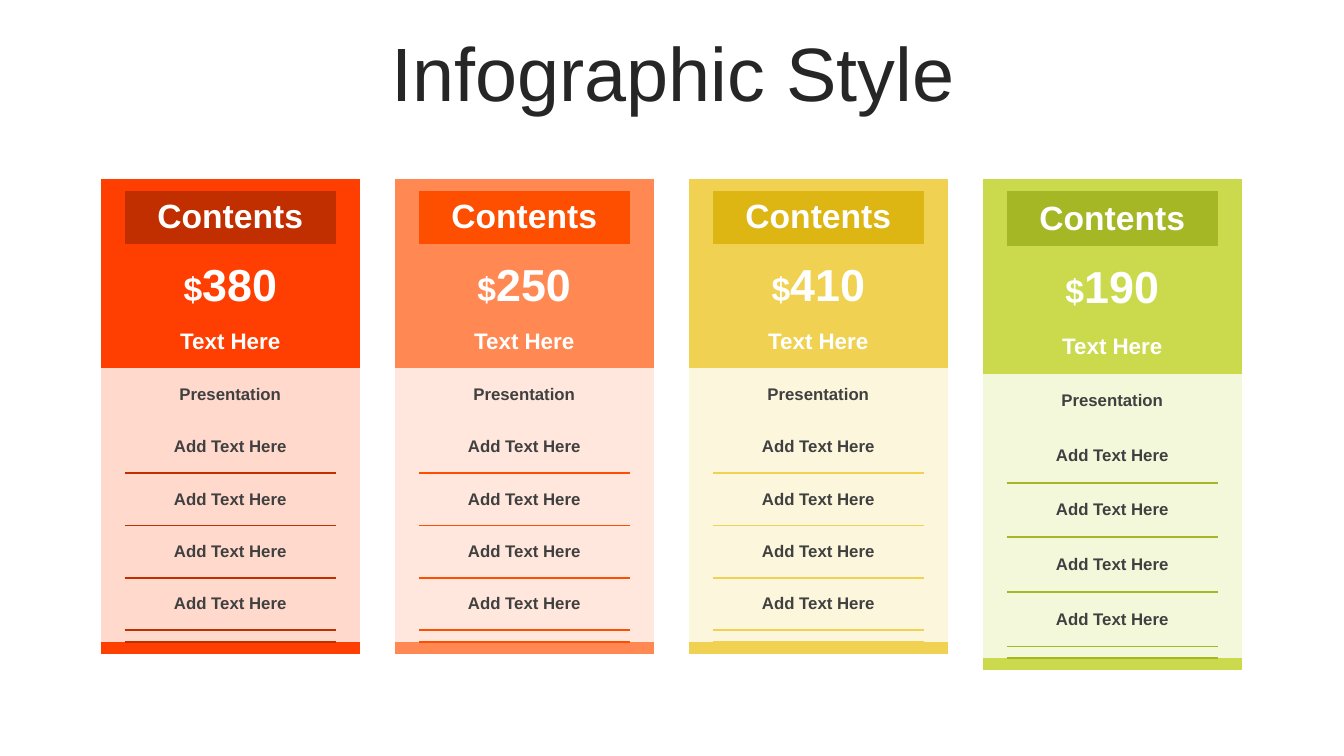
from dataclasses import dataclass

from lxml.etree import SubElement
from pptx import Presentation
from pptx.dml.color import RGBColor
from pptx.enum.text import MSO_ANCHOR as Anchor, MSO_AUTO_SIZE as AutoSize, PP_ALIGN as Align
from pptx.oxml.ns import qn
from pptx.util import Pt

PX = 6350  # EMU per px on a 1920 x 1080 slide
FONT = "Arial"
NO_TABLE_STYLE = "{2D5ABB26-0587-4C30-8999-92F81FD0307C}"

WHITE = RGBColor(0xFF, 0xFF, 0xFF)
INK = RGBColor(0x26, 0x26, 0x26)
GRAY = RGBColor(0x40, 0x40, 0x40)
RED = RGBColor(0xFF, 0x3F, 0x02)
DARK_RED = RGBColor(0xC1, 0x2E, 0x00)
PALE_RED = RGBColor(0xFF, 0xD9, 0xCC)
ORANGE = RGBColor(0xFF, 0x88, 0x53)
DARK_ORANGE = RGBColor(0xFE, 0x4E, 0x00)
PALE_ORANGE = RGBColor(0xFF, 0xE7, 0xDD)
YELLOW = RGBColor(0xF0, 0xD1, 0x52)
DARK_YELLOW = RGBColor(0xDE, 0xB6, 0x13)
PALE_YELLOW = RGBColor(0xFC, 0xF6, 0xDC)
GREEN = RGBColor(0xCA, 0xDA, 0x4C)
DARK_GREEN = RGBColor(0xA6, 0xB7, 0x26)
PALE_GREEN = RGBColor(0xF4, 0xF8, 0xDB)

COLUMN_WIDTHS = (33, 301, 33)
SPACER = 17
TABLE_LEFT, TABLE_TOP, TABLE_STEP = 144, 256, 420
LABEL_ROW, FIRST_BODY_ROW, LAST_ROW = 1, 5, 11
RULED_ROWS = range(6, 10)


@dataclass
class Plan:
    price: str
    main: RGBColor
    badge: RGBColor
    pale: RGBColor
    rule: RGBColor
    row: int = 75
    price_row: int = 86

    def rows(self):
        """Return the height and the text runs (text, size, colour) of each row."""
        spacer = (SPACER, [])
        feature = (self.row, [("Add Text Here", 12, GRAY)])
        return [
            spacer,
            (self.row, [("Contents", 24, WHITE)]),
            spacer,
            (self.price_row, [("$", 24, WHITE), (self.price, 32, WHITE)]),
            (self.row, [("Text Here", 16, WHITE)]),
            (self.row, [("Presentation", 12, GRAY)]),
            *[feature] * len(RULED_ROWS),
            spacer,
            spacer,
        ]

    def fill(self, row, column):
        if (row, column) == (LABEL_ROW, 1):
            return self.badge
        return self.pale if FIRST_BODY_ROW <= row < LAST_ROW else self.main


PLANS = (
    Plan("380", RED, DARK_RED, PALE_RED, DARK_RED),
    Plan("250", ORANGE, DARK_ORANGE, PALE_ORANGE, DARK_ORANGE),
    Plan("410", YELLOW, DARK_YELLOW, PALE_YELLOW, YELLOW),
    Plan("190", GREEN, DARK_GREEN, PALE_GREEN, DARK_GREEN, row=78, price_row=88),
)


def add_text(paragraph, text, *, size, color, bold=False):
    paragraph.alignment = Align.CENTER
    run = paragraph.add_run()
    run.text = text
    font = run.font
    font.name, font.size, font.bold = FONT, Pt(size), bold
    font.color.rgb = color


def add_border(cell, side, color):
    """Rule one side of a cell; call before setting the cell's fill."""
    properties = cell._tc.get_or_add_tcPr()
    line = SubElement(properties, qn(f"a:ln{side}"), w=str(Pt(1.5)))
    fill = SubElement(line, qn("a:solidFill"))
    SubElement(fill, qn("a:srgbClr"), val=str(color))


class PricingSlide:
    def __init__(self, presentation):
        self.slide = presentation.slides.add_slide(presentation.slide_layouts[5])

    def title(self, text, left, top, width, height):
        shape = self.slide.shapes.title
        shape.left, shape.top = left * PX, top * PX
        shape.width, shape.height = width * PX, height * PX
        frame = shape.text_frame
        frame.word_wrap = True
        frame.auto_size = AutoSize.NONE
        frame.vertical_anchor = Anchor.MIDDLE
        paragraph = frame.paragraphs[0]
        paragraph.line_spacing = 0.9
        add_text(paragraph, text, size=54, color=INK)

    def price_table(self, plan, left, top):
        rows = plan.rows()
        width, height = sum(COLUMN_WIDTHS), sum(height for height, _ in rows)
        frame = self.slide.shapes.add_table(
            len(rows), len(COLUMN_WIDTHS), left * PX, top * PX, width * PX, height * PX
        )
        table = frame.table
        table.first_row = table.horz_banding = False
        table._tbl.tblPr.find(qn("a:tableStyleId")).text = NO_TABLE_STYLE
        for column, width in zip(table.columns, COLUMN_WIDTHS):
            column.width = width * PX
        for index, (height, runs) in enumerate(rows):
            table.rows[index].height = height * PX
            for column in range(len(COLUMN_WIDTHS)):
                self.cell(table.cell(index, column), plan, index, column, runs)

    def cell(self, cell, plan, row, column, runs):
        cell.margin_top = cell.margin_bottom = 0
        cell.vertical_anchor = Anchor.MIDDLE
        paragraph = cell.text_frame.paragraphs[0]
        if column == 1:
            if row - 1 in RULED_ROWS:
                add_border(cell, "T", plan.rule)
            if row in RULED_ROWS:
                add_border(cell, "B", plan.rule)
            for text, size, color in runs:
                add_text(paragraph, text, size=size, color=color, bold=True)
        if not paragraph.runs:
            # A small end mark keeps empty spacer rows from growing
            SubElement(paragraph._p, qn("a:endParaRPr"), sz="400")
        cell.fill.solid()
        cell.fill.fore_color.rgb = plan.fill(row, column)


def main():
    presentation = Presentation()
    presentation.slide_width, presentation.slide_height = 1920 * PX, 1080 * PX
    pricing = PricingSlide(presentation)
    pricing.title("Infographic Style", 50, 53, 1823, 114)
    for index, plan in enumerate(PLANS):
        pricing.price_table(plan, TABLE_LEFT + index * TABLE_STEP, TABLE_TOP)
    presentation.save("out.pptx")


if __name__ == "__main__":
    main()
